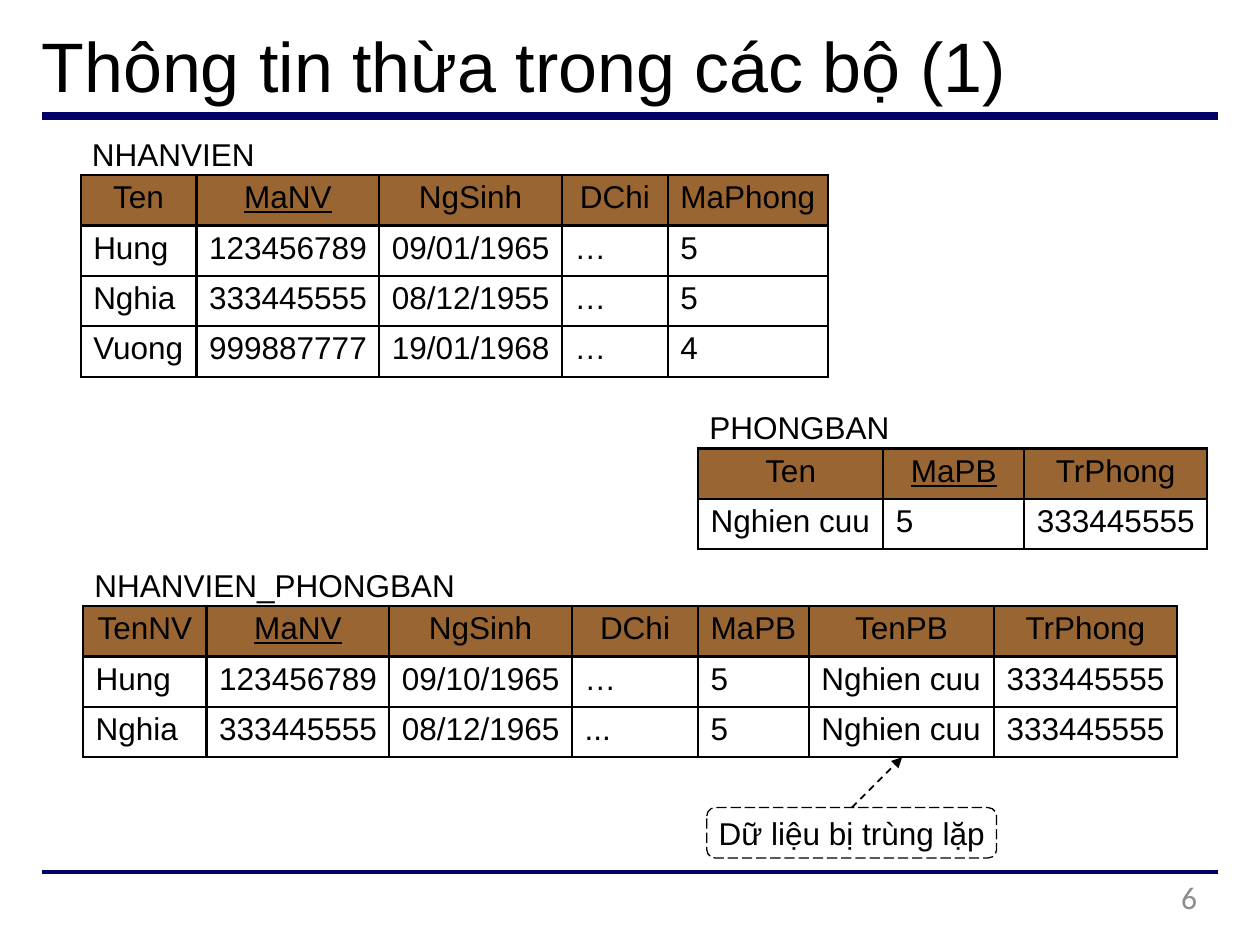
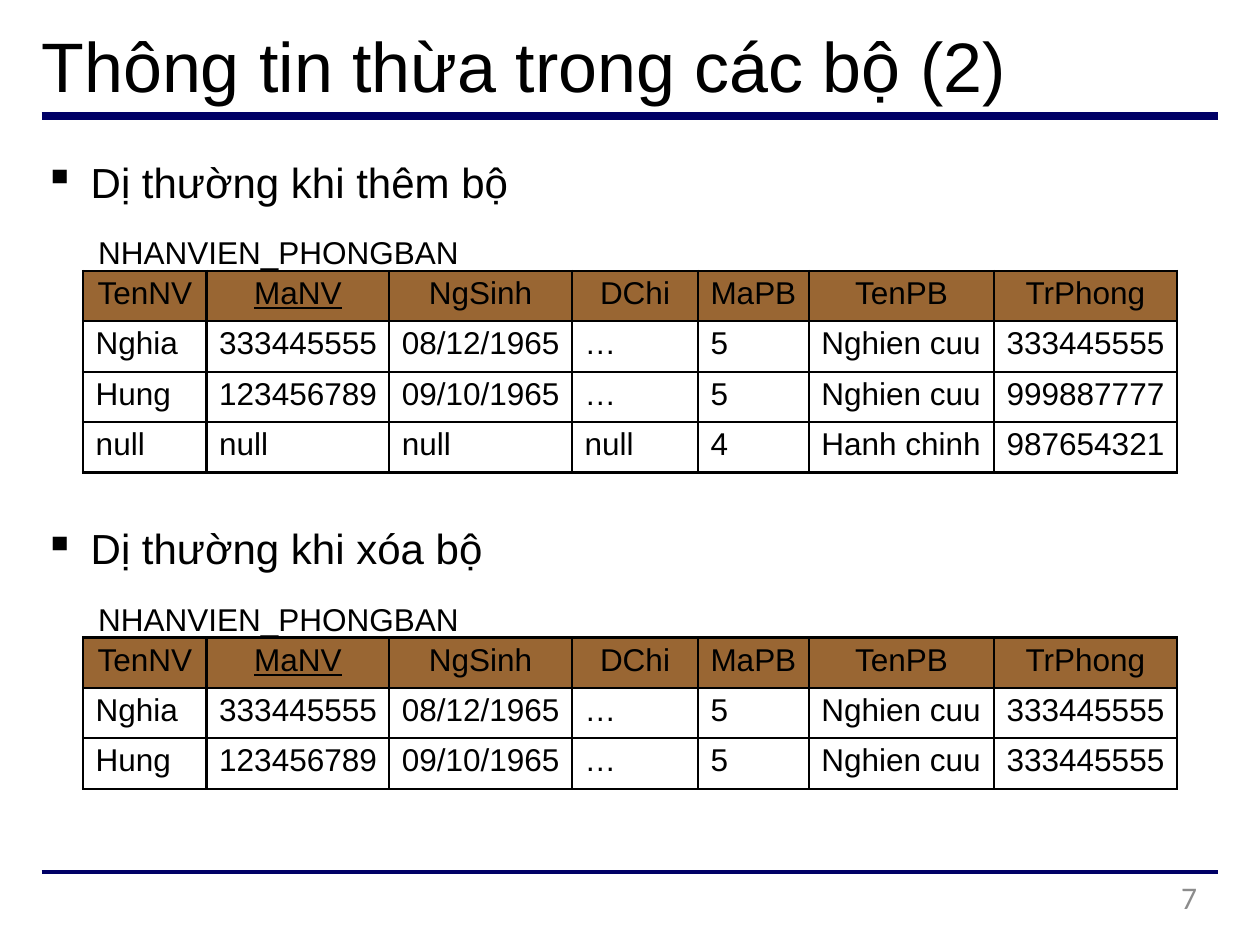
from lxml import etree
from pptx import Presentation
from pptx.dml.color import RGBColor
from pptx.enum.dml import MSO_LINE
from pptx.enum.shapes import MSO_CONNECTOR, MSO_SHAPE
from pptx.enum.text import MSO_ANCHOR, PP_ALIGN
from pptx.oxml.ns import qn
from pptx.util import Inches, Pt

COLORS = {"text": "000000", "rule": "000066", "header": "996633", "number": "8C8C8C"}
ROW_HEIGHT = 0.4
KEY_COLUMN = 1

EMPLOYEE = {"Ten": 0.92, "MaNV": 1.45, "NgSinh": 1.45, "DChi": 0.84, "MaPhong": 1.27}
DEPARTMENT = {"Ten": 1.47, "MaPB": 1.12, "TrPhong": 1.45}
EMPLOYEE_DEPARTMENT = {"TenNV": 0.98, "MaNV": 1.45, "NgSinh": 1.45, "DChi": 1.0,
                       "MaPB": 0.88, "TenPB": 1.47, "TrPhong": 1.45}


def rgb(name):
    return RGBColor.from_string(COLORS[name])


class Deck:
    def __init__(self):
        self.prs = Presentation()
        self.prs.slide_width = Inches(10)
        self.prs.slide_height = Inches(7.5)
        self.slide = None

    def new_slide(self, title, number):
        """Start a slide with its title, two rules and page number."""
        self.slide = self.prs.slides.add_slide(self.prs.slide_layouts[6])
        for y, width in ((0.92, 4.5), (6.92, 2.25)):
            self.line(0.33, y, 9.67, y, "rule", width)
        self.text(0.33, 0.11, 9.24, 0.69, title, size=40, top=0.07)
        p = self.text(7.2, 6.97, 2.3, 0.38, str(number), color="number",
                      font="Calibri", top=0).paragraphs[0]
        p.alignment = PP_ALIGN.RIGHT

    def style(self, p, size=18, color="text", font="Arial"):
        p.font.size = Pt(size)
        p.font.name = font
        p.font.color.rgb = rgb(color)

    def text(self, x, y, w, h, text, size=18, color="text", font="Arial", top=0.04):
        box = self.slide.shapes.add_textbox(Inches(x), Inches(y), Inches(w), Inches(h))
        tf = box.text_frame
        tf.word_wrap = True
        tf.margin_left = tf.margin_right = tf.margin_bottom = 0
        tf.margin_top = Inches(top)
        p = tf.paragraphs[0]
        p.text = text
        self.style(p, size, color, font)
        return tf

    def line(self, x1, y1, x2, y2, color, width):
        cn = self.slide.shapes.add_connector(
            MSO_CONNECTOR.STRAIGHT, Inches(x1), Inches(y1), Inches(x2), Inches(y2))
        cn.line.color.rgb = rgb(color)
        cn.line.width = Pt(width)
        etree.SubElement(cn._element.spPr, qn("a:effectLst"))
        return cn

    def borders(self, cell):
        tc_pr = cell._tc.get_or_add_tcPr()
        for side in ("lnL", "lnR", "lnT", "lnB"):
            ln = etree.SubElement(tc_pr, qn(f"a:{side}"), w=str(Pt(1.5)))
            fill = etree.SubElement(ln, qn("a:solidFill"))
            etree.SubElement(fill, qn("a:srgbClr"), val=COLORS["text"])

    def table(self, x, y, columns, rows):
        """Draw a relation: columns maps each attribute to its width."""
        table = self.slide.shapes.add_table(
            len(rows) + 1, len(columns), Inches(x), Inches(y),
            Inches(sum(columns.values())), Inches(ROW_HEIGHT * (len(rows) + 1))).table
        table.first_row = table.horz_banding = False
        for column, width in zip(table.columns, columns.values()):
            column.width = Inches(width)
        for r, values in enumerate([list(columns), *rows]):
            table.rows[r].height = Inches(ROW_HEIGHT)
            for c, value in enumerate(values):
                self.cell(table.cell(r, c), value, r == 0, c == KEY_COLUMN)

    def cell(self, cell, value, is_header, is_key):
        self.borders(cell)
        cell.margin_left = Inches(0 if is_header else 0.1)
        cell.margin_right = cell.margin_bottom = 0
        cell.margin_top = Inches(0.04)
        p = cell.text_frame.paragraphs[0]
        p.text = value
        self.style(p)
        if is_header:
            cell.fill.solid()
            cell.fill.fore_color.rgb = rgb("header")
            p.alignment = PP_ALIGN.CENTER
            p.font.underline = is_key
        else:
            cell.fill.background()

    def named_table(self, name, x, y, columns, rows):
        self.text(x + 0.09, y - 0.36, 3, 0.33, name)
        self.table(x, y, columns, rows)

    def anomaly(self, heading, name, y, columns, rows):
        """Bulleted heading and relation name, with the relation below them."""
        tf = self.text(0.33, y, 4.5, 0.92, heading, size=24)
        p = tf.paragraphs[0]
        p_pr = p._p.get_or_add_pPr()
        p_pr.set("marL", str(Inches(0.39)))
        p_pr.set("indent", str(Inches(-0.37)))
        etree.SubElement(p_pr, qn("a:buChar"), char="▪")
        self.style(p, 24)
        p = tf.add_paragraph()
        p.text = name
        p._p.get_or_add_pPr().set("marL", str(Inches(0.45)))
        p.space_before = Pt(15)
        self.style(p)
        self.table(0.66, y + 0.95, columns, rows)

    def callout(self, x, y, w, h, text, target):
        """Dashed note whose arrow points at target."""
        sp = self.slide.shapes.add_shape(
            MSO_SHAPE.ROUNDED_RECTANGLE, Inches(x), Inches(y), Inches(w), Inches(h))
        sp.shadow.inherit = False
        sp.fill.background()
        sp.line.color.rgb = rgb("text")
        sp.line.width = Pt(0.75)
        sp.line.dash_style = MSO_LINE.LONG_DASH
        tf = sp.text_frame
        tf.word_wrap = False
        tf.margin_left = tf.margin_right = tf.margin_top = tf.margin_bottom = 0
        tf.vertical_anchor = MSO_ANCHOR.MIDDLE
        p = tf.paragraphs[0]
        p.text = text
        p.alignment = PP_ALIGN.CENTER
        self.style(p)

        arrow = self.line(x + w / 2, y, *target, "text", 1)
        arrow.begin_connect(sp, 0)
        arrow.line.dash_style = MSO_LINE.DASH
        etree.SubElement(arrow.line._get_or_add_ln(), qn("a:tailEnd"), type="triangle")


def main():
    deck = Deck()

    deck.new_slide("Thông tin thừa trong các bộ (1)", 6)
    deck.named_table("NHANVIEN", 0.64, 1.39, EMPLOYEE, [
        ["Hung", "123456789", "09/01/1965", "…", "5"],
        ["Nghia", "333445555", "08/12/1955", "…", "5"],
        ["Vuong", "999887777", "19/01/1968", "…", "4"],
    ])
    deck.named_table("PHONGBAN", 5.54, 3.56, DEPARTMENT, [
        ["Nghien cuu", "5", "333445555"],
    ])
    deck.named_table("NHANVIEN_PHONGBAN", 0.66, 4.81, EMPLOYEE_DEPARTMENT, [
        ["Hung", "123456789", "09/10/1965", "…", "5", "Nghien cuu", "333445555"],
        ["Nghia", "333445555", "08/12/1965", "...", "5", "Nghien cuu", "333445555"],
    ])
    deck.callout(5.61, 6.41, 2.3, 0.4, "Dữ liệu bị trùng lặp", target=(7.16, 6.01))

    deck.new_slide("Thông tin thừa trong các bộ (2)", 7)
    deck.anomaly("Dị thường khi thêm bộ", "NHANVIEN_PHONGBAN", 1.2, EMPLOYEE_DEPARTMENT, [
        ["Nghia", "333445555", "08/12/1965", "…", "5", "Nghien cuu", "333445555"],
        ["Hung", "123456789", "09/10/1965", "…", "5", "Nghien cuu", "999887777"],
        ["null", "null", "null", "null", "4", "Hanh chinh", "987654321"],
    ])
    deck.anomaly("Dị thường khi xóa bộ", "NHANVIEN_PHONGBAN", 4.11, EMPLOYEE_DEPARTMENT, [
        ["Nghia", "333445555", "08/12/1965", "…", "5", "Nghien cuu", "333445555"],
        ["Hung", "123456789", "09/10/1965", "…", "5", "Nghien cuu", "333445555"],
    ])

    deck.prs.save("out.pptx")


if __name__ == "__main__":
    main()
